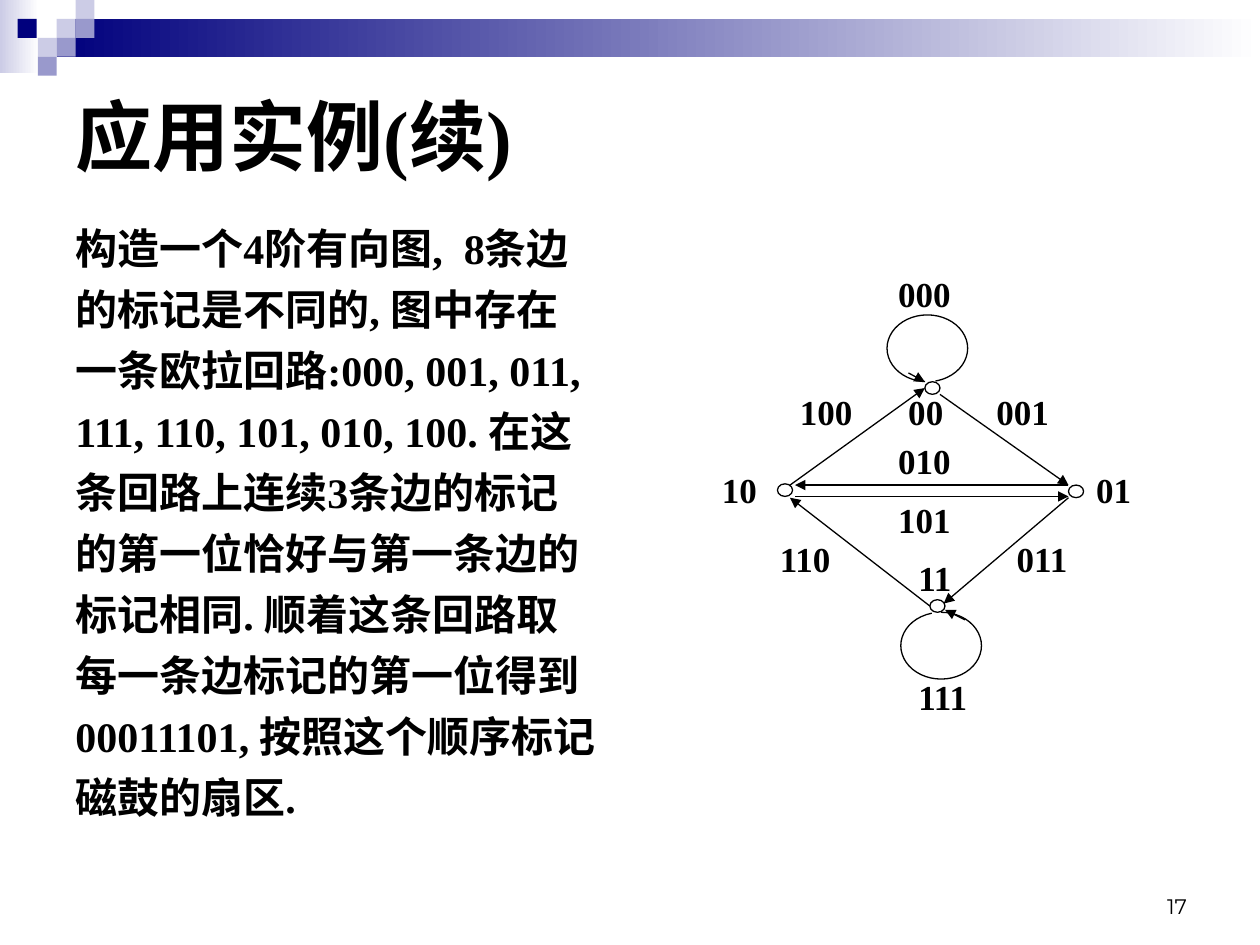
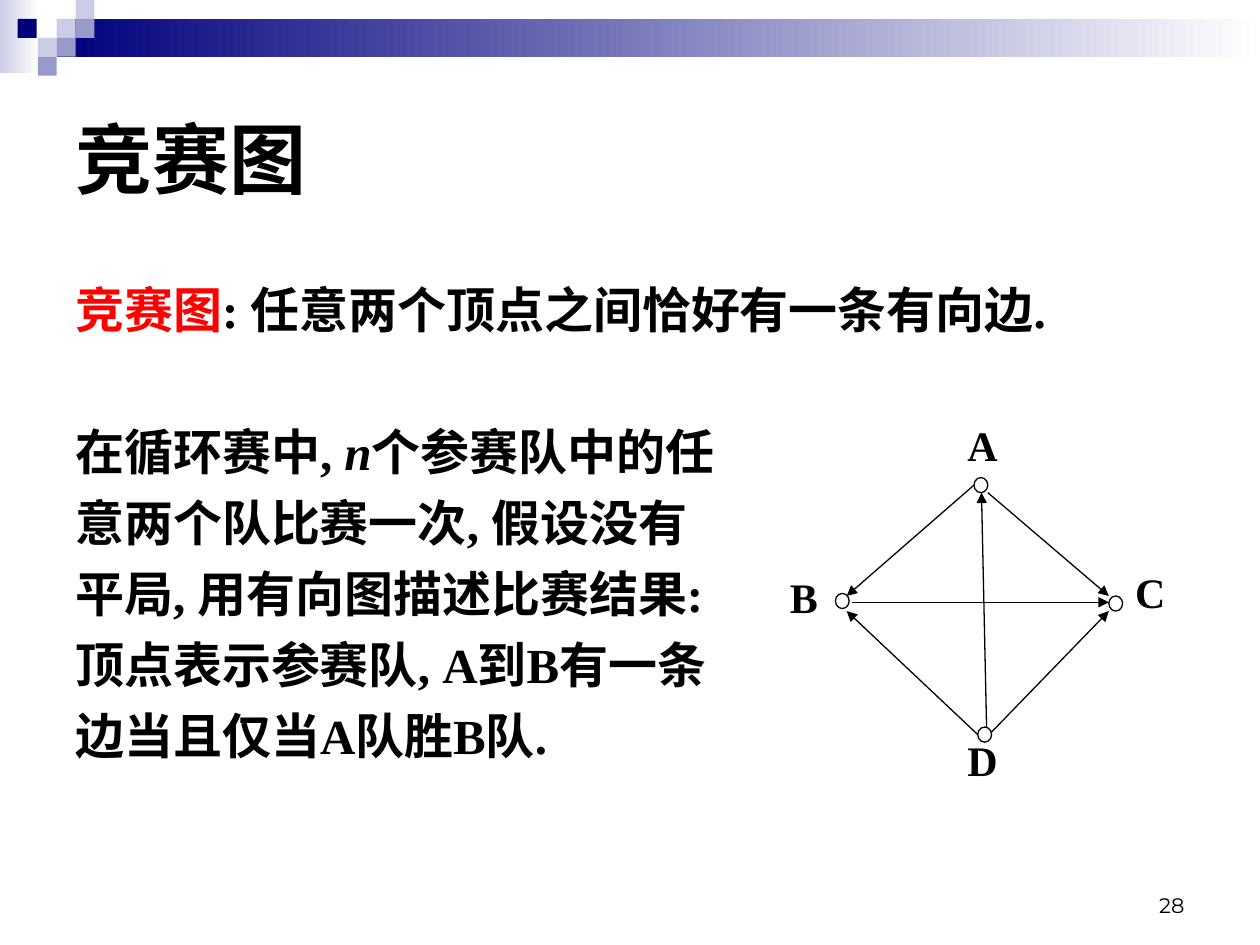
from lxml import etree
from pptx import Presentation
from pptx.dml.color import RGBColor
from pptx.enum.shapes import MSO_CONNECTOR, MSO_SHAPE
from pptx.enum.text import MSO_ANCHOR, PP_ALIGN
from pptx.oxml.ns import qn
from pptx.util import Inches, Pt

RECTANGLE, OVAL, ARC = MSO_SHAPE.RECTANGLE, MSO_SHAPE.OVAL, MSO_SHAPE.ARC
STRAIGHT = MSO_CONNECTOR.STRAIGHT
TOP, MIDDLE, BOTTOM = MSO_ANCHOR.TOP, MSO_ANCHOR.MIDDLE, MSO_ANCHOR.BOTTOM
LEFT, RIGHT = PP_ALIGN.LEFT, PP_ALIGN.RIGHT

COLORS = {
    "text": "000000",
    "white": "FFFFFF",
    "navy": "00007D",
    "violet": "9999CC",
    "pale": "CCCCE6",
    "term": "FF0000",
}
SERIF = "Times New Roman"
UNIT = 0.15


def color(name):
    return RGBColor.from_string(COLORS[name])


def add_text(page, lines, at, size, font=SERIF, bold=True, align=LEFT, anchor=TOP, space=0):
    box = page.shapes.add_textbox(*map(Inches, at))
    frame = box.text_frame
    frame.word_wrap = True
    frame.vertical_anchor = anchor
    for index, line in enumerate(lines):
        para = frame.paragraphs[0] if index == 0 else frame.add_paragraph()
        para.alignment = align
        if index:
            para.space_before = Pt(space)
        for text, tint, italic in [(line, "text", False)] if isinstance(line, str) else line:
            span = para.add_run()
            span.text = text
            span.font.name = font
            span.font.size = Pt(size)
            span.font.bold = bold
            span.font.italic = italic
            span.font.color.rgb = color(tint)
    return box


bands = [
    ((0, 0, 0.31, 0.58), "pale"),
    ((0.45, UNIT, 9.55, 2 * UNIT), "navy"),
]
squares = [
    (0.45, 0.15, "pale"), (0.6, 0, "pale"), (0.6, 0.15, "violet"),
    (0.3, 0.3, "pale"), (0.14, 0.15, "navy"), (0.45, 0.3, "violet"),
    (0.3, 0.45, "violet"),
]

euler = {
    "title": "应用实例(续)",
    "title_font": SERIF,
    "title_at": (0.5, 0.5, 9, 1.14),
    "body": [
        "构造一个4阶有向图,  8条边",
        "的标记是不同的, 图中存在",
        "一条欧拉回路:000, 001, 011,",
        "111, 110, 101, 010, 100. 在这",
        "条回路上连续3条边的标记",
        "的第一位恰好与第一条边的",
        "标记相同. 顺着这条回路取",
        "每一条边标记的第一位得到",
        "00011101, 按照这个顺序标记",
        "磁鼓的扇区.",
    ],
    "body_at": (0.5, 1.72, 9, 5.23),
    "body_size": 24,
    "body_space": 6,
    "number": "17",
    "number_at": (7.19, 6.84, 2.33, 0.5),
    "vertex_size": (0.12, 0.1),
    "vertices": [(7.34, 3.03), (7.38, 4.76), (8.48, 3.85), (6.17, 3.84)],
    "edges": [
        (7.46, 3.13, 8.48, 3.85), (8.48, 3.95, 7.49, 4.79),
        (7.38, 4.81, 6.27, 3.95), (6.27, 3.85, 7.34, 3.08),
        (8.48, 3.85, 6.31, 3.85), (6.31, 3.94, 8.48, 3.94),
        (7.21, 2.96, 7.34, 3.03), (7.66, 4.92, 7.5, 4.84),
    ],
    "loops": [((7.04, 2.5, 0.64, 0.53), 94, 76), ((7.15, 4.86, 0.64, 0.53), 270, 254)],
    "label_size": 20,
    "labels": [
        ("00", 7.11, 3.05), ("01", 8.6, 3.67), ("10", 5.63, 3.67), ("11", 7.19, 4.37),
        ("000", 7.03, 2.11), ("001", 7.81, 3.05), ("011", 7.97, 4.22), ("010", 7.03, 3.44),
        ("100", 6.25, 3.05), ("101", 7.03, 3.91), ("110", 6.09, 4.22), ("111", 7.19, 5.31),
    ],
}

tournament = {
    "title": "竞赛图",
    "title_font": "Arial",
    "title_at": (0.5, 0.5, 9, 1.5),
    "body": [
        [("竞赛图", "term", False), (": 任意两个顶点之间恰好有一条有向边.", "text", False)],
        [("在循环赛中, ", "text", False), ("n", "text", True), ("个参赛队中的任", "text", False)],
        "意两个队比赛一次, 假设没有",
        "平局, 用有向图描述比赛结果:",
        "顶点表示参赛队, A到B有一条",
        "边当且仅当A队胜B队.",
    ],
    "body_at": (0.5, 2.17, 9, 4.63),
    "body_size": 28,
    "body_space": 7,
    "definition_gap": 47.5,
    "number": "28",
    "number_at": (7.17, 6.83, 2.33, 0.5),
    "vertex_size": (0.11, 0.12),
    "vertices": [(7.73, 3.79), (7.76, 5.77), (8.8, 4.73), (6.63, 4.71)],
    "edges": [
        (7.84, 3.91, 8.8, 4.73), (7.87, 5.81, 8.8, 4.85),
        (7.76, 5.83, 6.72, 4.85), (7.73, 3.85, 6.72, 4.73),
        (6.76, 4.78, 8.8, 4.78), (7.83, 5.77, 7.79, 3.91),
    ],
    "loops": [],
    "label_size": 24,
    "labels": [("A", 7.58, 3.28), ("B", 6.17, 4.49), ("C", 8.91, 4.45), ("D", 7.58, 5.78)],
}

deck = Presentation()
deck.slide_width = Inches(10)
deck.slide_height = Inches(7.5)

for topic in (euler, tournament):
    page = deck.slides.add_slide(deck.slide_layouts[6])

    for at, tint in bands:
        band = page.shapes.add_shape(RECTANGLE, *map(Inches, at))
        band.shadow.inherit = False
        band.line.fill.background()
        band.fill.gradient()
        band.fill.gradient_angle = 0
        for stop, name in zip(band.fill.gradient_stops, (tint, "white")):
            stop.color.rgb = color(name)
        band.fill.gradient_stops[0].position = 0
        band.fill.gradient_stops[1].position = 1

    for left, top, tint in squares:
        square = page.shapes.add_shape(RECTANGLE, *map(Inches, (left, top, UNIT, UNIT)))
        square.shadow.inherit = False
        square.line.fill.background()
        square.fill.solid()
        square.fill.fore_color.rgb = color(tint)

    add_text(page, [topic["title"]], topic["title_at"], 44, font=topic["title_font"], anchor=MIDDLE)
    body = add_text(page, topic["body"], topic["body_at"], topic["body_size"], space=topic["body_space"])
    if "definition_gap" in topic:
        body.text_frame.paragraphs[1].space_before = Pt(topic["definition_gap"])
    add_text(page, [topic["number"]], topic["number_at"], 12, font="Montserrat", bold=False,
             align=RIGHT, anchor=BOTTOM)

    for corner in topic["vertices"]:
        vertex = page.shapes.add_shape(OVAL, *map(Inches, corner + topic["vertex_size"]))
        vertex.shadow.inherit = False
        vertex.fill.solid()
        vertex.fill.fore_color.rgb = color("white")
        vertex.line.color.rgb = color("text")
        vertex.line.width = Pt(0.75)

    for ends in topic["edges"]:
        edge = page.shapes.add_connector(STRAIGHT, *map(Inches, ends))
        edge.line.color.rgb = color("text")
        edge.line.width = Pt(0.75)
        etree.SubElement(edge.line._get_or_add_ln(), qn("a:tailEnd"), type="triangle")
        etree.SubElement(edge._element.spPr, qn("a:effectLst"))

    for at, start, end in topic["loops"]:
        loop = page.shapes.add_shape(ARC, *map(Inches, at))
        loop.shadow.inherit = False
        loop.adjustments[0] = start * 0.6
        loop.adjustments[1] = end * 0.6
        loop.fill.background()
        loop.line.color.rgb = color("text")
        loop.line.width = Pt(0.75)

    for name, left, top in topic["labels"]:
        width = 0.78 if len(name) == 3 else 0.62
        add_text(page, [name], (left, top, width, 0.47), topic["label_size"])

deck.save("out.pptx")
